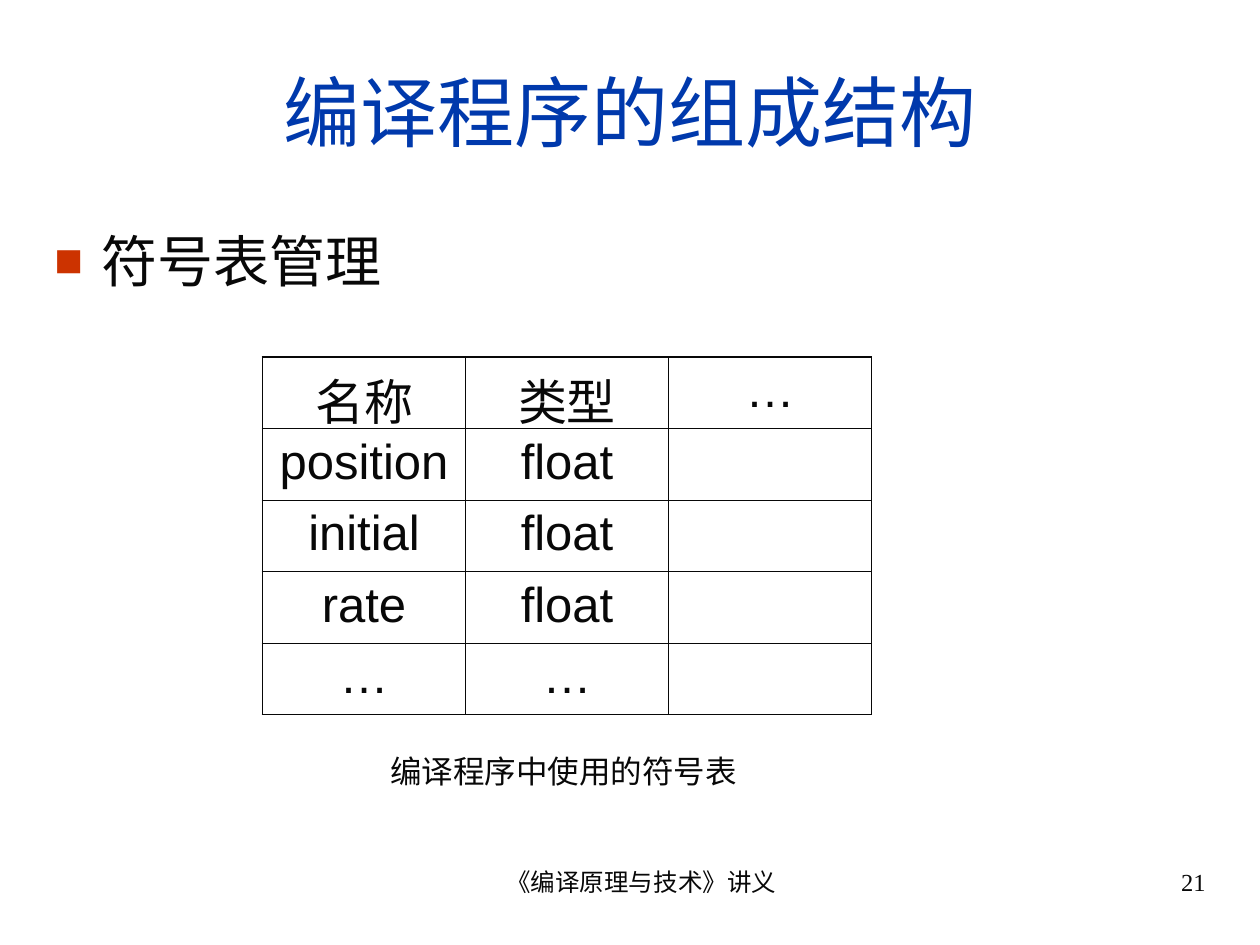
from lxml.etree import SubElement as Sub
from pptx import Presentation
from pptx.dml.color import RGBColor as Rgb
from pptx.enum.text import MSO_ANCHOR as Anchor, PP_ALIGN as Align
from pptx.oxml.ns import qn
from pptx.util import Pt

BLUE = Rgb(0x00, 0x39, 0xAC)
RED = Rgb(0xCC, 0x33, 0x00)
INK = Rgb(0x08, 0x08, 0x08)
THICK, THIN = 1.08, 0.45

TITLE = dict(name="Arial", size=Pt(44))
BODY = dict(name="Arial", size=Pt(32))
CELL = dict(name="Arial", size=Pt(28))
NOTE = dict(name="Arial", size=Pt(18))
FOOT = dict(name="Times New Roman", size=Pt(14))

ROWS = [
    ("名称", "类型", "…"),
    ("position", "float", ""),
    ("initial", "float", ""),
    ("rate", "float", ""),
    ("…", "…", ""),
]


def style(para, form, color=INK, align=Align.LEFT):
    para.alignment = align
    for key, value in form.items():
        setattr(para.font, key, value)
    para.font.color.rgb = color


def add_text(slide, box, text, form, color=INK, align=Align.LEFT, anchor=Anchor.TOP):
    frame = slide.shapes.add_textbox(*map(Pt, box)).text_frame
    frame.word_wrap = True
    frame.vertical_anchor = anchor
    para = frame.paragraphs[0]
    para.text = text
    style(para, form, color, align)
    return para


def add_point(slide, box, text):
    para = add_text(slide, box, text, BODY)
    props = para._p.get_or_add_pPr()
    props.set("marL", str(Pt(27)))
    props.set("indent", str(-Pt(27)))
    marks = [
        Sub(Sub(props, qn("a:buClr")), qn("a:srgbClr"), val=str(RED)).getparent(),
        Sub(props, qn("a:buSzPct"), val="85000"),
        Sub(props, qn("a:buFont"), typeface="Arial"),
        Sub(props, qn("a:buChar"), char="■"),
    ]
    for spot, mark in enumerate(marks):
        props.insert(spot, mark)


def add_edges(cell, outer):
    """Draw the four sides of a cell, thick where outer says so."""
    props = cell._tc.get_or_add_tcPr()
    for spot, (side, thick) in enumerate(outer.items()):
        width = Pt(THICK if thick else THIN)
        line = Sub(props, qn(f"a:ln{side}"), w=str(width))
        Sub(Sub(line, qn("a:solidFill")), qn("a:srgbClr"), val=str(INK))
        props.insert(spot, line)


def add_grid(slide, box, rows):
    high, wide = len(rows), len(rows[0])
    table = slide.shapes.add_table(high, wide, *map(Pt, box)).table
    table.first_row = table.horz_banding = False
    for r, row in enumerate(rows):
        for c, text in enumerate(row):
            cell = table.cell(r, c)
            cell.fill.background()
            add_edges(cell, dict(L=c == 0, R=c == wide - 1, T=r == 0, B=r == high - 1))
            if text:
                cell.text = text
                style(cell.text_frame.paragraphs[0], CELL, align=Align.CENTER)


def add_foot(slide, box, text, align, indent):
    para = add_text(slide, box, text, FOOT, align=align)
    para._p.get_or_add_pPr().set("marL", str(Pt(indent)))


def main():
    deck = Presentation()
    deck.slide_width, deck.slide_height = Pt(720), Pt(540)
    slide = deck.slides.add_slide(deck.slide_layouts[6])
    add_text(slide, (24, 18, 672, 90), "编译程序的组成结构", TITLE, BLUE,
             Align.CENTER, Anchor.MIDDLE)
    add_point(slide, (24, 126, 648, 66), "符号表管理")
    add_grid(slide, (150, 204, 348, 204), ROWS)
    add_text(slide, (216, 426, 264, 29), "编译程序中使用的符号表", NOTE)
    add_foot(slide, (246, 492, 228, 37.5), "《编译原理与技术》讲义", Align.CENTER, 13)
    add_foot(slide, (516, 492, 180, 37.5), "21", Align.RIGHT, 17)
    deck.save("out.pptx")


if __name__ == "__main__":
    main()
